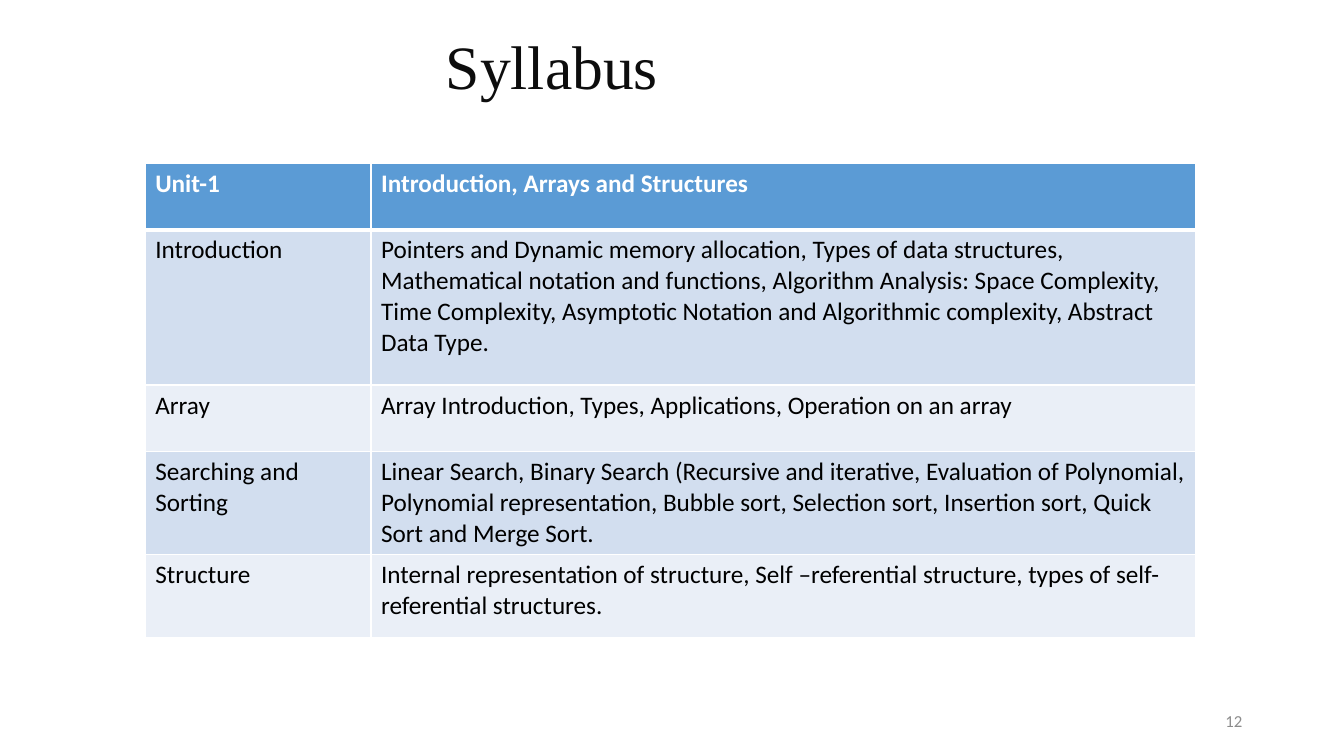
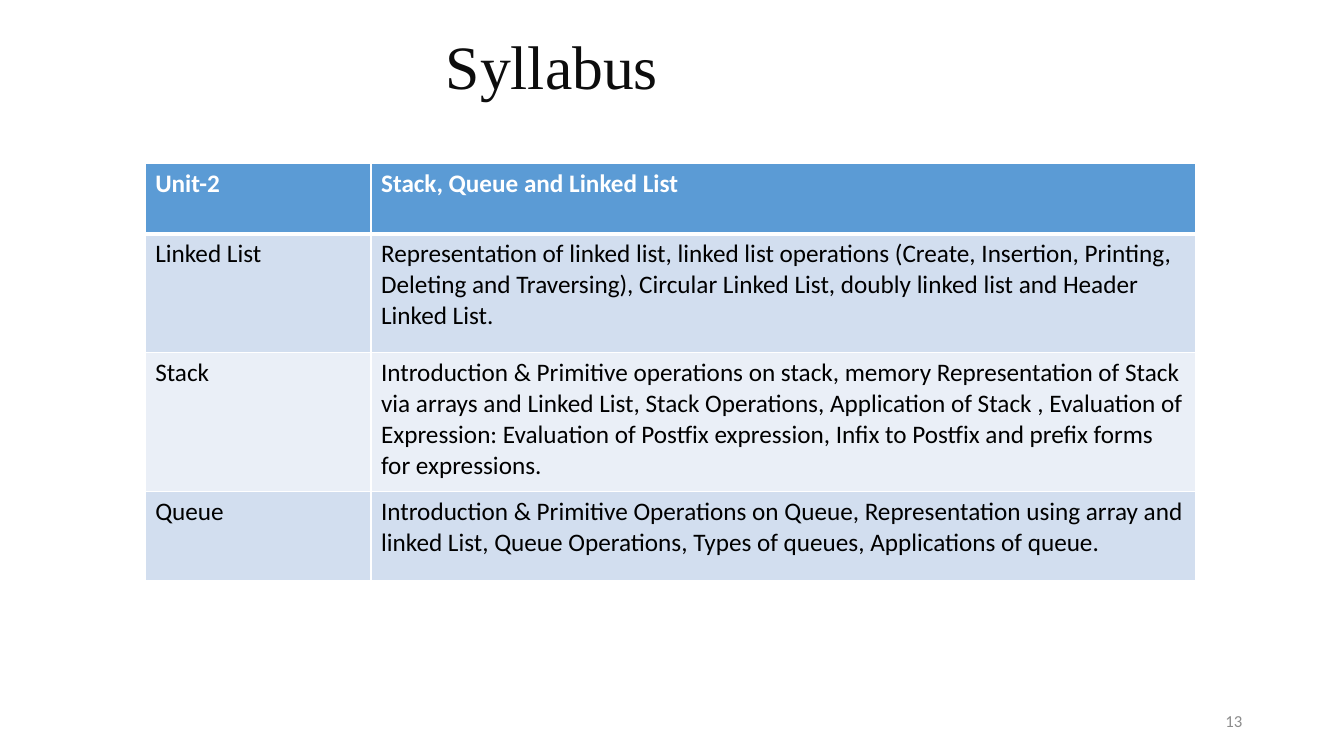
"""Build two syllabus slides, each with a unit table."""
import pptx
import pptx.dml.color
import pptx.enum.text
import pptx.oxml.ns
import pptx.util
from lxml import etree

Inches = pptx.util.Inches
Align = pptx.enum.text.PP_ALIGN

TITLE = "Syllabus"
UNITS = [
    {
        "number": "12",
        "rows": [
            ("Unit-1", "Introduction, Arrays and Structures", 0.66),
            ("Introduction", "Pointers and Dynamic memory allocation, Types of data structures, "
             "Mathematical notation and functions, Algorithm Analysis: Space Complexity, "
             "Time Complexity, Asymptotic Notation and Algorithmic complexity, "
             "Abstract Data Type.", 1.54),
            ("Array", "Array Introduction, Types, Applications, Operation on an array", 0.66),
            ("Searching and Sorting", "Linear Search, Binary Search (Recursive and iterative, "
             "Evaluation of Polynomial, Polynomial representation, Bubble sort, Selection sort, "
             "Insertion sort, Quick Sort and Merge Sort.", 1.02),
            ("Structure", "Internal representation of structure, Self –referential structure, "
             "types of self-referential structures.", 0.83),
        ],
    },
    {
        "number": "13",
        "rows": [
            ("Unit-2", "Stack, Queue and Linked List", 0.7),
            ("Linked List", "Representation of linked list, linked list operations (Create, "
             "Insertion, Printing, Deleting and Traversing), Circular Linked List, "
             "doubly linked list and Header Linked List.", 1.18),
            ("Stack", "Introduction & Primitive operations on stack, memory Representation of "
             "Stack via arrays and Linked List, Stack Operations, Application of Stack , "
             "Evaluation of Expression: Evaluation of Postfix expression, Infix to Postfix "
             "and prefix forms for expressions.", 1.38),
            ("Queue", "Introduction & Primitive Operations on Queue, Representation using array "
             "and linked List, Queue Operations, Types of queues, Applications of queue.", 0.88),
        ],
    },
]

THEME = {
    "title": ("Times New Roman", 44, "0D0D0D"),
    "number": ("Calibri", 12, "8C8C8C"),
    "header": ("Calibri", 18, "FFFFFF"),
    "body": ("Calibri", 18, "000000"),
    "white": "FFFFFF",
    "header_fill": "5B9BD5",
    "bands": ("D2DEEF", "EAEFF7"),
    "rule": 1,
    "header_rule": 3,
}
TITLE_AREA = (0.92, 0.15, 9.11, 1.08)
NUMBER_AREA = (9.42, 6.95, 3, 0.4)
TABLE_LEFT, TABLE_TOP = 1.44, 1.62
COLUMNS = (2.24, 8.18)


def paint(fill, color):
    fill.solid()
    fill.fore_color.rgb = pptx.dml.color.RGBColor.from_string(color)


def style_text(para, style, bold=False):
    name, size, color = THEME[style]
    para.font.name = name
    para.font.size = pptx.util.Pt(size)
    para.font.bold = bold
    para.font.color.rgb = pptx.dml.color.RGBColor.from_string(color)


def add_label(page, area, text, style, align):
    box = page.shapes.add_textbox(*map(Inches, area))
    box.text_frame.word_wrap = True
    box.text_frame.vertical_anchor = pptx.enum.text.MSO_ANCHOR.MIDDLE
    para = box.text_frame.paragraphs[0]
    para.text = text
    para.alignment = align
    style_text(para, style)
    return box


def set_borders(cell, row):
    qn = pptx.oxml.ns.qn
    properties = cell._tc.get_or_add_tcPr()
    heavy_side = {0: "lnB", 1: "lnT"}.get(row)
    for side in ("lnL", "lnR", "lnT", "lnB"):
        points = THEME["header_rule"] if side == heavy_side else THEME["rule"]
        line = etree.SubElement(properties, qn(f"a:{side}"), w=str(pptx.util.Pt(points)))
        solid = etree.SubElement(line, qn("a:solidFill"))
        etree.SubElement(solid, qn("a:srgbClr"), val=THEME["white"])


def add_unit_table(page, rows):
    heights = [height for _, _, height in rows]
    area = (TABLE_LEFT, TABLE_TOP, sum(COLUMNS), sum(heights))
    frame = page.shapes.add_table(len(rows), len(COLUMNS), *map(Inches, area))
    table = frame.table
    for column, width in zip(table.columns, COLUMNS):
        column.width = Inches(width)
    for index, (topic, details, height) in enumerate(rows):
        table.rows[index].height = Inches(height)
        is_header = index == 0
        color = THEME["header_fill"] if is_header else THEME["bands"][(index - 1) % 2]
        for cell, text in zip(table.rows[index].cells, (topic, details)):
            set_borders(cell, index)
            paint(cell.fill, color)
            cell.text = text
            style_text(cell.text_frame.paragraphs[0],
                       "header" if is_header else "body", is_header)


def add_unit_page(deck, unit):
    page = deck.slides.add_slide(deck.slide_layouts[6])
    paint(page.background.fill, THEME["white"])
    title = add_label(page, TITLE_AREA, TITLE, "title", Align.CENTER)
    title.text_frame.paragraphs[0].line_spacing = 0.9
    paint(title.fill, THEME["white"])
    add_label(page, NUMBER_AREA, unit["number"], "number", Align.RIGHT)
    add_unit_table(page, unit["rows"])


def main():
    deck = pptx.Presentation()
    deck.slide_width, deck.slide_height = Inches(13.33), Inches(7.5)
    for unit in UNITS:
        add_unit_page(deck, unit)
    deck.save("out.pptx")


if __name__ == "__main__":
    main()
